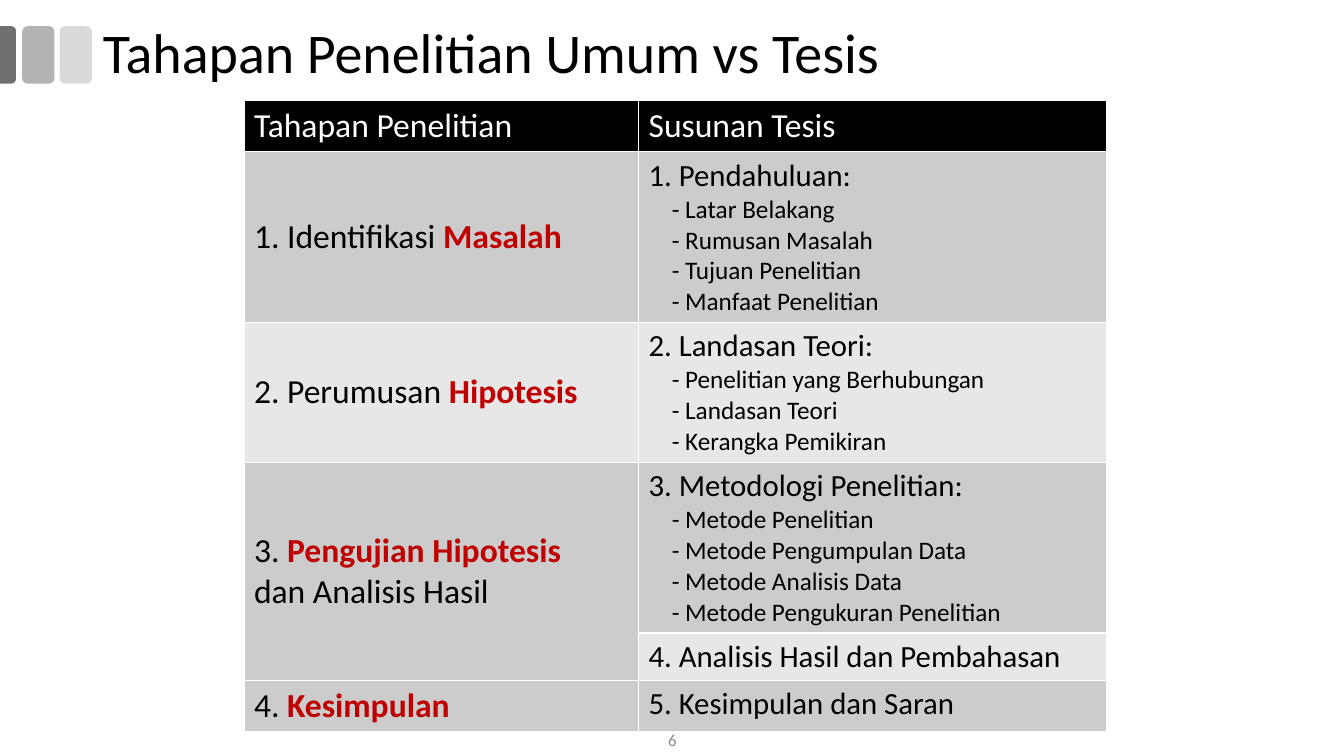
from pptx import Presentation
from pptx.dml.color import RGBColor
from pptx.enum.shapes import MSO_SHAPE as Preset
from pptx.enum.text import MSO_ANCHOR as Anchor, PP_ALIGN as Align
from pptx.util import Inches, Pt

WIDTH, HEIGHT = Inches(13.33), Inches(7.5)
COLORS = {
    "ink": "000000", "paper": "FFFFFF", "accent": "C00000", "number": "8C8C8C",
    "dark": "CCCCCC", "light": "E7E7E7",
    "tab_near": "D9D9D9", "tab_middle": "B3B3B3", "tab_far": "707070",
}
COLUMN_SHARES = [29.36, 34.84]
ROW_SHARES = [6.76, 22.57, 18.51, 22.57, 6.3, 6.76]
STAGES = {
    1: [[("1. Identifikasi ", False), ("Masalah", True)]],
    2: [[("2. Perumusan ", False), ("Hipotesis", True)]],
    3: [[("3. ", False), ("Pengujian Hipotesis", True)],
        [("dan Analisis Hasil", False)]],
    5: [[("4. ", False), ("Kesimpulan", True)]],
}
CHAPTERS = [
    ("1. Pendahuluan:", ["Latar Belakang", "Rumusan Masalah",
                         "Tujuan Penelitian", "Manfaat Penelitian"]),
    ("2. Landasan Teori:", ["Penelitian yang Berhubungan", "Landasan Teori",
                            "Kerangka Pemikiran"]),
    ("3. Metodologi Penelitian:", ["Metode Penelitian", "Metode Pengumpulan Data",
                                   "Metode Analisis Data",
                                   "Metode Pengukuran Penelitian"]),
    ("4. Analisis Hasil dan Pembahasan", []),
    ("5. Kesimpulan dan Saran", []),
]


def across(percent):
    return round(WIDTH * percent / 100)


def down(percent):
    return round(HEIGHT * percent / 100)


def box(left, top, width, height):
    return across(left), down(top), across(width), down(height)


def color(name):
    return RGBColor.from_string(COLORS[name])


def set_all(target, values):
    for name, value in values.items():
        setattr(target, name, value)


def add_run(paragraph, text, size, color_name="ink", bold=False):
    run = paragraph.add_run()
    run.text = text
    set_all(run.font, {"name": "Calibri", "size": Pt(size), "bold": bold})
    run.font.color.rgb = color(color_name)


def next_paragraph(frame):
    first = frame.paragraphs[0]
    return frame.add_paragraph() if first.runs else first


def add_title(slide, text):
    title = slide.shapes.title
    left, top, width, height = box(6.9, 2.27, 93, 10)
    set_all(title, {"left": left, "top": top, "width": width, "height": height})
    set_all(title.text_frame, {"vertical_anchor": Anchor.MIDDLE, "word_wrap": True})
    paragraph = title.text_frame.paragraphs[0]
    set_all(paragraph, {"alignment": Align.LEFT, "line_spacing": 0.9})
    add_run(paragraph, text, 40)


def add_tab(slide, preset, area, color_name):
    tab = slide.shapes.add_shape(preset, *area)
    tab.shadow.inherit = False
    tab.fill.solid()
    tab.fill.fore_color.rgb = color(color_name)
    tab.line.fill.background()
    return tab


def add_tabs(slide):
    for left, color_name in [(4.43, "tab_near"), (1.65, "tab_middle")]:
        add_tab(slide, Preset.ROUNDED_RECTANGLE, box(left, 3.47, 2.4, 7.6), color_name)
    edge = add_tab(slide, Preset.ROUND_2_SAME_RECTANGLE,
                   box(-1.55, 6.2, 4.28, 2.13), "tab_far")
    edge.rotation = 90
    edge.adjustments[0] = 0.29


def fill_cell(cell, color_name):
    cell.fill.solid()
    cell.fill.fore_color.rgb = color(color_name)


def write_stage(cell, lines):
    cell.vertical_anchor = Anchor.MIDDLE
    for line in lines:
        paragraph = next_paragraph(cell.text_frame)
        for text, key in line:
            add_run(paragraph, text, 24, "accent" if key else "ink", key)


def write_chapter(cell, heading, sections):
    add_run(next_paragraph(cell.text_frame), heading, 22)
    for section in sections:
        paragraph = next_paragraph(cell.text_frame)
        paragraph._p.get_or_add_pPr().set("marL", str(Inches(0.23)))
        add_run(paragraph, "- " + section, 18)


def add_stage_table(slide):
    area = box(18.15, 13.33, sum(COLUMN_SHARES), sum(ROW_SHARES))
    table = slide.shapes.add_table(len(ROW_SHARES), len(COLUMN_SHARES), *area).table
    for column, share in zip(table.columns, COLUMN_SHARES):
        column.width = across(share)
    for row, share in zip(table.rows, ROW_SHARES):
        row.height = down(share)
    for column, heading in enumerate(["Tahapan Penelitian", "Susunan Tesis"]):
        cell = table.cell(0, column)
        fill_cell(cell, "ink")
        add_run(cell.text_frame.paragraphs[0], heading, 24, "paper")
    table.cell(3, 0).merge(table.cell(4, 0))
    for row, (heading, sections) in enumerate(CHAPTERS, start=1):
        shade = "dark" if row % 2 else "light"
        for column in range(2):
            fill_cell(table.cell(row, column), shade)
        write_chapter(table.cell(row, 1), heading, sections)
    for row, lines in STAGES.items():
        write_stage(table.cell(row, 0), lines)


def add_page_number(slide, text):
    frame = slide.shapes.add_textbox(*box(38.78, 95.6, 22.5, 4.4)).text_frame
    set_all(frame, {"word_wrap": True, "vertical_anchor": Anchor.MIDDLE})
    frame.paragraphs[0].alignment = Align.CENTER
    add_run(frame.paragraphs[0], text, 12, "number")


def main():
    presentation = Presentation()
    set_all(presentation, {"slide_width": WIDTH, "slide_height": HEIGHT})
    slide = presentation.slides.add_slide(presentation.slide_layouts[5])
    add_tabs(slide)
    add_stage_table(slide)
    add_page_number(slide, "6")
    add_title(slide, "Tahapan Penelitian Umum vs Tesis")
    presentation.save("out.pptx")


if __name__ == "__main__":
    main()
